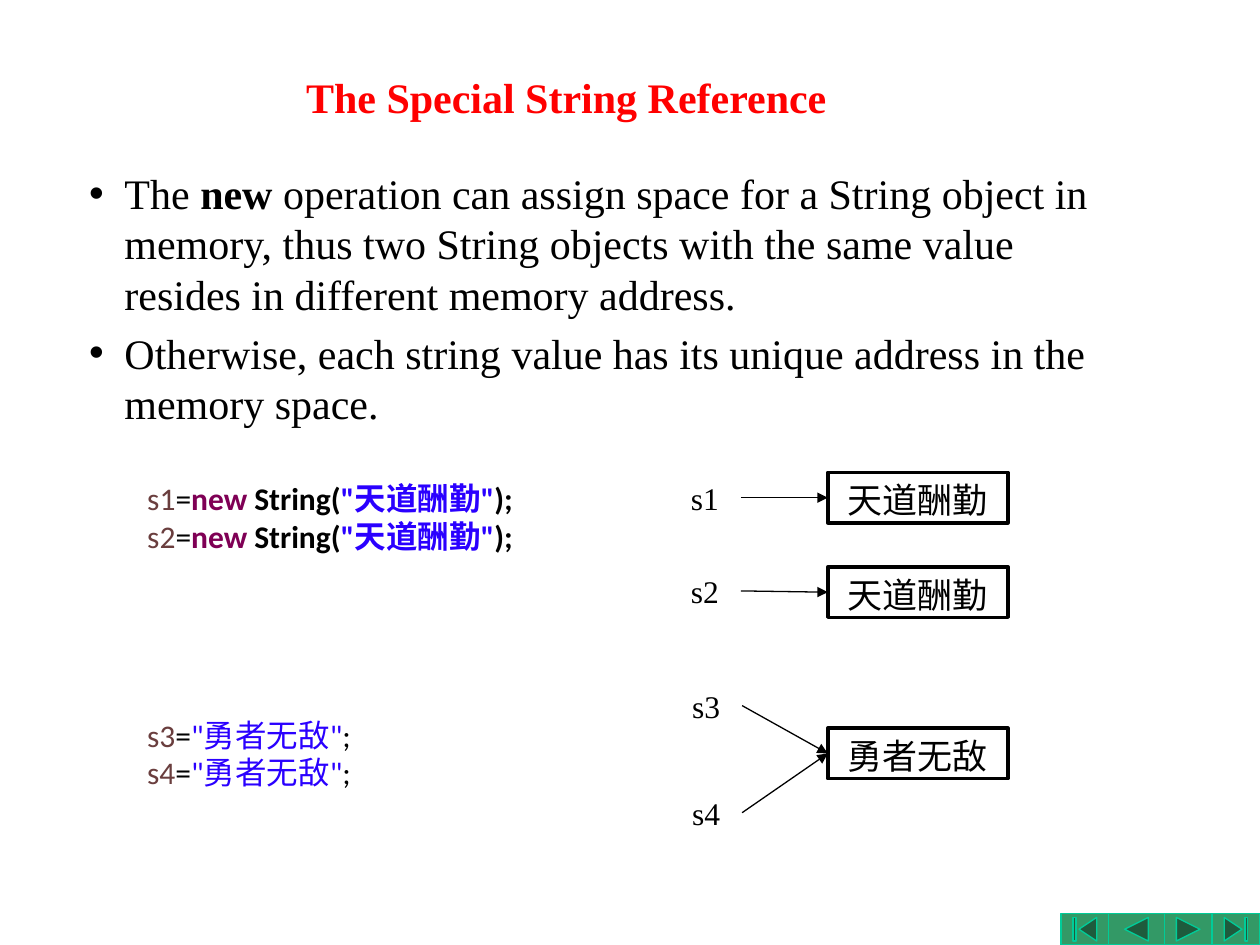
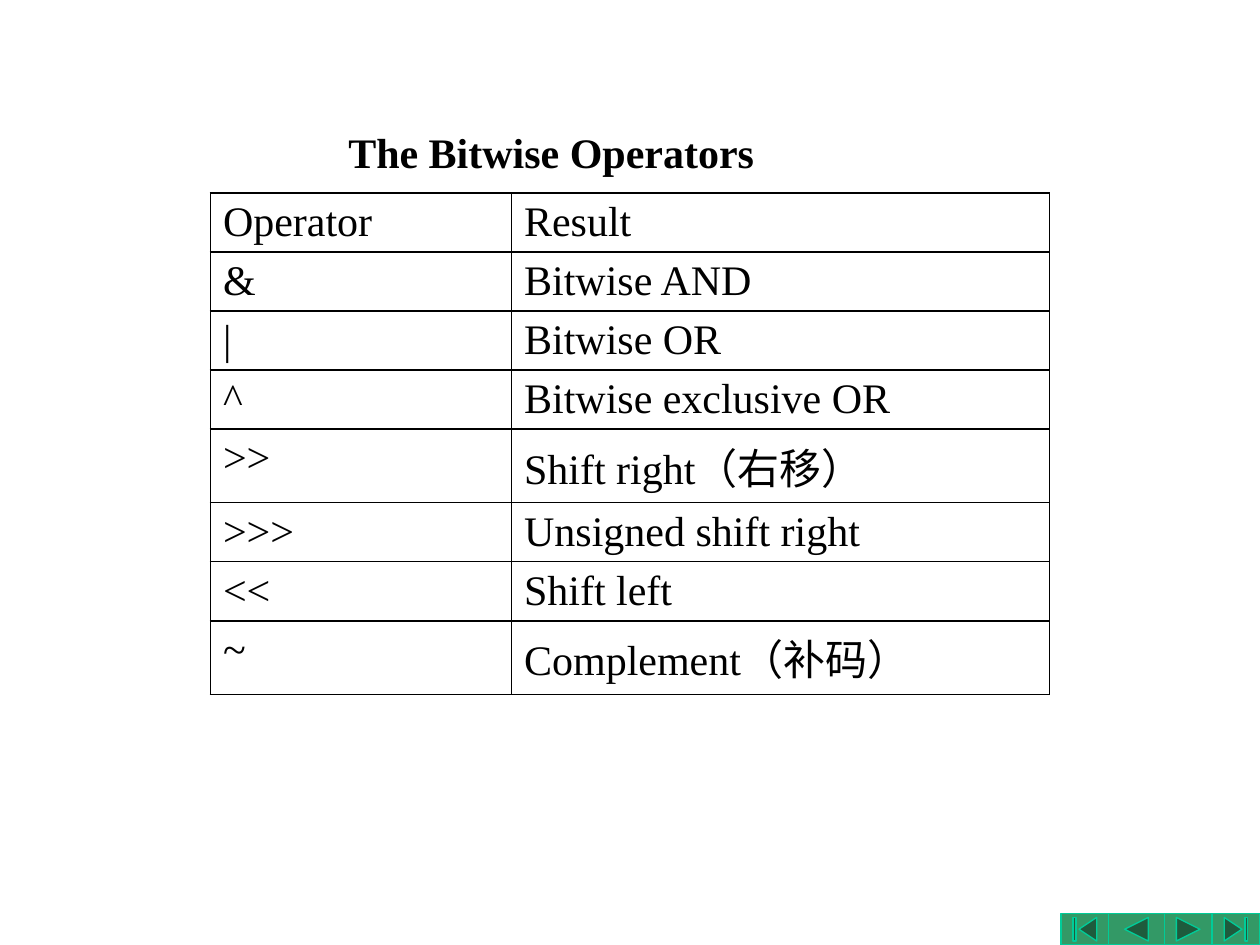
from lxml.etree import SubElement
from pptx import Presentation
from pptx.dml.color import RGBColor
from pptx.enum.shapes import MSO_CONNECTOR as Link, MSO_SHAPE as Kind
from pptx.enum.text import MSO_ANCHOR as Anchor, MSO_AUTO_SIZE as Auto, PP_ALIGN as Align
from pptx.oxml import parse_xml
from pptx.oxml.ns import nsdecls, qn
from pptx.util import Inches, Pt

BLACK = RGBColor(0, 0, 0)
WHITE = RGBColor(0xFF, 0xFF, 0xFF)
RED = RGBColor(0xFF, 0, 0)
GREEN = RGBColor(0x33, 0x99, 0x66)
MINT = RGBColor(0, 0xCC, 0x99)
BROWN = RGBColor(0x6A, 0x3E, 0x3E)
PLUM = RGBColor(0x7F, 0, 0x55)
BLUE = RGBColor(0x2A, 0, 0xFF)

SERIF = "Times New Roman"
HEAD = {"name": SERIF, "size": Pt(24), "bold": True}
BODY = {"name": SERIF, "size": Pt(24)}
BOX = {"name": SERIF, "size": Pt(20)}
LABEL = {"name": SERIF, "size": Pt(18)}
CODE = {"name": "Calibri", "size": Pt(18)}

# Navigation buttons: shape and width, set flush with the lower right corner
NAV = [
    (Kind.ACTION_BUTTON_BEGINNING, 0.38),
    (Kind.ACTION_BUTTON_BACK_OR_PREVIOUS, 0.44),
    (Kind.ACTION_BUTTON_FORWARD_OR_NEXT, 0.38),
    (Kind.ACTION_BUTTON_END, 0.38),
]

# Each paragraph is a list of runs: text, colour, bold
POINTS = [
    [("The ", BLACK, False), ("new", BLACK, True),
     (" operation can assign space for a String object in memory, thus two "
      "String objects with the same value resides in different memory address.",
      BLACK, False)],
    [("Otherwise, each string value has its unique address in the memory space.",
      BLACK, False)],
]
HEAVEN, BRAVE = "天道酬勤", "勇者无敌"
MADE = [
    [(name, BROWN, False), ("=", BLACK, False), ("new", PLUM, True),
     (" String(", BLACK, True), (f'"{HEAVEN}"', BLUE, True), (");", BLACK, True)]
    for name in ("s1", "s2")
]
PLAIN = [
    [(name, BROWN, False), ("=", BLACK, False),
     (f'"{BRAVE}"', BLUE, False), (";", BLACK, False)]
    for name in ("s3", "s4")
]
VALUES = [(HEAVEN, 3.75), (HEAVEN, 4.5), (BRAVE, 5.78)]  # text, top
# Name, left, top, index of the value it points to
NAMES = [("s1", 5.31, 3.75, 0), ("s2", 5.31, 4.49, 1),
         ("s3", 5.32, 5.4, 2), ("s4", 5.32, 6.25, 2)]
BOX_X, BOX_W, LABEL_W, HIGH = 6.57, 1.43, 0.57, 0.4

ROWS = [
    ("Operator", "Result"),
    ("&", "Bitwise AND"),
    ("|", "Bitwise OR"),
    ("^", "Bitwise exclusive OR"),
    (">>", "Shift right（右移）"),
    (">>>", "Unsigned shift right"),
    ("<<", "Shift left"),
    ("~", "Complement（补码）"),
]
COLS, ROW_H = (2.39, 4.27), 0.41


def style(font, form, color=BLACK):
    """Apply a dict of format values and a colour to a font."""
    for key, value in form.items():
        setattr(font, key, value)
    font.color.rgb = color


def inch(*sizes):
    """Turn numbers into lengths."""
    return [Inches(size) for size in sizes]


def write(frame, paras, form, align=Align.LEFT):
    """Fill a text frame with paragraphs of runs."""
    frame.word_wrap = True
    for i, runs in enumerate(paras):
        para = frame.add_paragraph() if i else frame.paragraphs[0]
        para.alignment = align
        for text, color, bold in runs:
            run = para.add_run()
            run.text = text
            style(run.font, {**form, "bold": bold}, color)


def add_text(slide, at, paras, form, align=Align.LEFT, grow=True):
    """Add a text box and return its frame."""
    frame = slide.shapes.add_textbox(*inch(*at)).text_frame
    write(frame, paras, form, align)
    frame.auto_size = Auto.SHAPE_TO_FIT_TEXT if grow else Auto.NONE
    return frame


def add_shape(slide, kind, at, fill, line, width):
    """Add a filled and outlined shape without shadow."""
    shape = slide.shapes.add_shape(kind, *inch(*at))
    shape.shadow.inherit = False
    shape.fill.solid()
    shape.fill.fore_color.rgb = fill
    shape.line.color.rgb = line
    shape.line.width = Pt(width)
    return shape


def add_arrow(slide, start, end):
    """Draw a thin arrow between two points."""
    arrow = slide.shapes.add_connector(Link.STRAIGHT, *inch(*start, *end))
    arrow.line.color.rgb = BLACK
    arrow.line.width = Pt(0.75)
    SubElement(arrow.line._get_or_add_ln(), qn("a:tailEnd"), type="triangle")
    SubElement(arrow._element.spPr, qn("a:effectLst"))


def add_bullet(para):
    """Give a paragraph a hanging bullet."""
    props = para._p.get_or_add_pPr()
    props.set("marL", str(Inches(0.28)))
    props.set("indent", str(-Inches(0.28)))
    para.space_before = Pt(4.8)
    SubElement(props, qn("a:buFont"), typeface="Arial")
    SubElement(props, qn("a:buChar"), char="•")


def add_edges(cell):
    """Draw thin black borders round a cell."""
    props = cell._tc.get_or_add_tcPr()
    for i, side in enumerate("LRTB"):
        props.insert(i, parse_xml(
            f'<a:ln{side} {nsdecls("a")} w="{Pt(1)}"><a:solidFill>'
            f'<a:srgbClr val="{BLACK}"/></a:solidFill></a:ln{side}>'))


def new_slide(deck, title, at, color):
    """Add a title-only slide with its navigation buttons."""
    slide = deck.slides.add_slide(deck.slide_layouts[5])
    x = 10 - sum(width for _, width in NAV)
    for kind, width in NAV:
        add_shape(slide, kind, (x, 7.25, width, 0.25), GREEN, MINT, 0.75)
        x += width
    head = slide.shapes.title
    head.left, head.top, head.width, head.height = inch(*at, 7.25, 0.75)
    frame = head.text_frame
    frame.vertical_anchor = Anchor.MIDDLE
    write(frame, [[(title, color, True)]], HEAD, Align.CENTER)
    return slide


def draw_refs(deck):
    """Build the slide on string references."""
    slide = new_slide(deck, "The Special String Reference", (0.87, 0.39), RED)
    body = add_text(slide, (0.61, 1.28, 8.5, 2.47), POINTS, BODY, grow=False)
    for para in body.paragraphs:
        add_bullet(para)
    add_text(slide, (1.07, 3.75, 3.59, 0.71), MADE, CODE)
    add_text(slide, (1.07, 5.63, 2.3, 0.71), PLAIN, CODE)
    for text, top in VALUES:
        box = add_shape(slide, Kind.RECTANGLE, (BOX_X, top, BOX_W, HIGH),
                        WHITE, BLACK, 2)
        box.text_frame.vertical_anchor = Anchor.TOP
        write(box.text_frame, [[(text, BLACK, False)]], BOX, Align.CENTER)
    for name, left, top, goal in NAMES:
        add_text(slide, (left, top, LABEL_W, HIGH), [[(name, BLACK, False)]],
                 LABEL, Align.CENTER)
        add_arrow(slide, (left + LABEL_W, top + HIGH / 2),
                  (BOX_X, VALUES[goal][1] + HIGH / 2))


def draw_bits(deck):
    """Build the slide with the table of operators."""
    slide = new_slide(deck, "The Bitwise Operators", (0.75, 0.83), BLACK)
    at = inch(1.67, 1.53, sum(COLS), ROW_H * len(ROWS))
    table = slide.shapes.add_table(len(ROWS), len(COLS), *at).table
    table.first_row = table.horz_banding = False
    for col, width in zip(table.columns, COLS):
        col.width = Inches(width)
    for row, texts in zip(table.rows, ROWS):
        row.height = Inches(ROW_H)
        for cell, text in zip(row.cells, texts):
            cell.fill.background()
            add_edges(cell)
            write(cell.text_frame, [[(text, BLACK, False)]], BODY)


deck = Presentation()
deck.slide_width, deck.slide_height = inch(10, 7.5)
draw_refs(deck)
draw_bits(deck)
deck.save("out.pptx")
